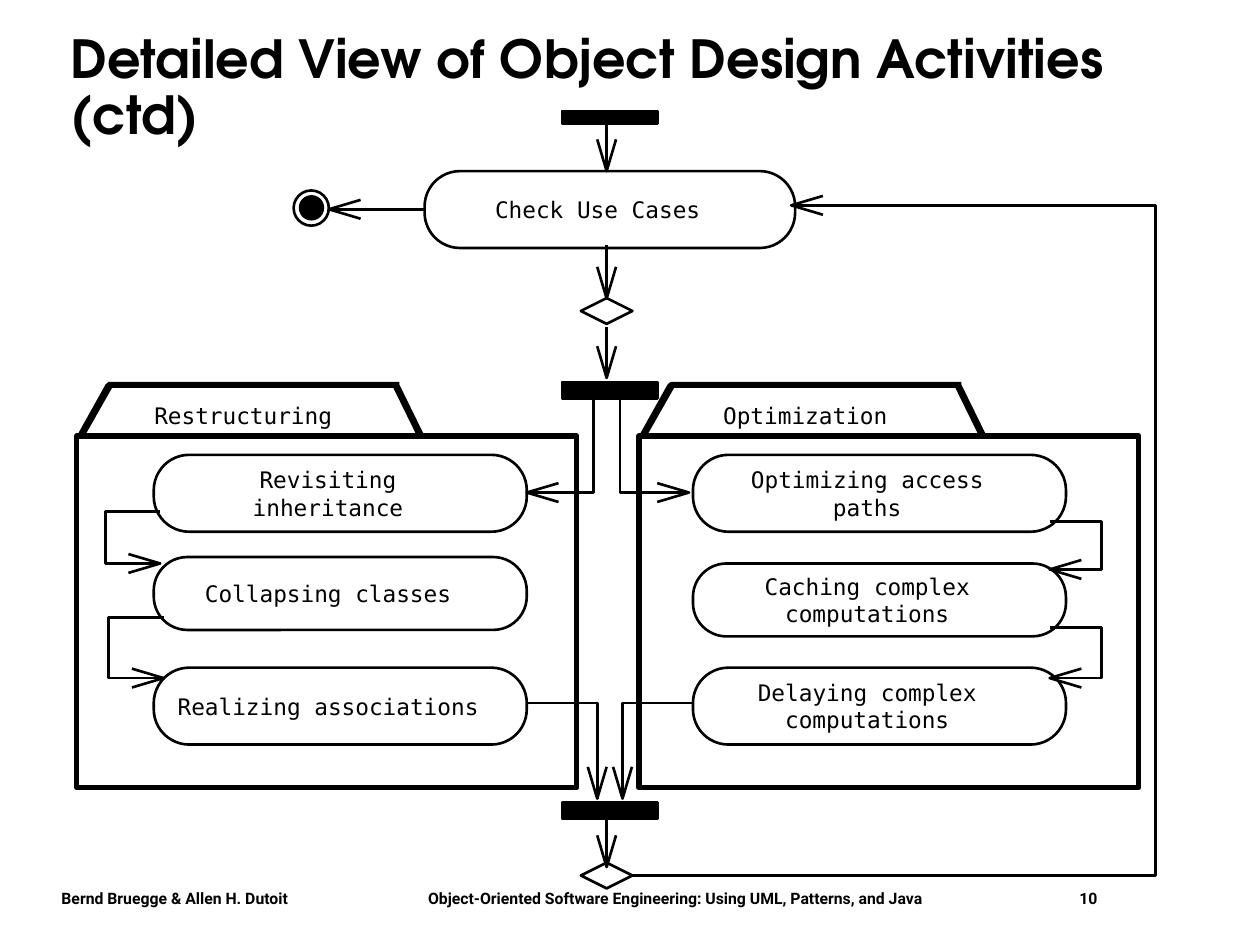
import math

from lxml import etree
from pptx import Presentation
from pptx import util as u
from pptx.dml import color
from pptx.enum import shapes, text
from pptx.oxml import ns

COLORS = {"ink": "000000", "paper": "FFFFFF"}
FONTS = {"title": "TeX Gyre Adventor", "label": "DejaVu Sans Mono", "footer": "Roboto"}
KINDS = shapes.MSO_SHAPE
HEAD_LENGTH, HEAD_HALF = 0.64, 0.19


def rgb(name):
    return color.RGBColor.from_string(COLORS[name])


def paint(shape, fill=None, weight=1.5):
    shape.shadow.inherit = False
    if fill:
        shape.fill.solid()
        shape.fill.fore_color.rgb = rgb(fill)
    else:
        shape.fill.background()
    if weight:
        shape.line.color.rgb = rgb("ink")
        shape.line.width = u.Pt(weight)
    else:
        shape.line.fill.background()
    return shape


def add_preset(page, kind, box, fill=None, weight=1.5):
    return paint(page.shapes.add_shape(kind, *map(u.Cm, box)), fill, weight)


def add_outline(page, points, fill=None, weight=1.5, close=False):
    places = [(u.Cm(x), u.Cm(y)) for x, y in points]
    builder = page.shapes.build_freeform(*places[0])
    builder.add_line_segments(places[1:], close=close)
    return paint(builder.convert_to_shape(), fill, weight)


def set_text(shape, words, font, size, bold=False, align=None, margins=(0, 0, 0, 0)):
    frame = shape.text_frame
    frame.text = words
    frame.word_wrap = True
    frame.vertical_anchor = text.MSO_ANCHOR.MIDDLE
    frame.margin_left, frame.margin_top, frame.margin_right, frame.margin_bottom = map(u.Cm, margins)
    for para in frame.paragraphs:
        para.alignment = align
        for span in para.runs:
            span.font.name = FONTS[font]
            span.font.size = u.Pt(size)
            span.font.bold = bold
            span.font.color.rgb = rgb("ink")
    return frame


def shift(box, points):
    return [(box[0] + x, box[1] + y) for x, y in points]


def add_flow(page, box, points):
    points = shift(box, points)
    if len(points) == 2:
        ends = [u.Cm(value) for point in points for value in point]
        line = page.shapes.add_connector(shapes.MSO_CONNECTOR.STRAIGHT, *ends)
        line.line.color.rgb = rgb("ink")
        line.line.width = u.Pt(1.5)
        etree.SubElement(line._element.spPr, ns.qn("a:effectLst"))
    else:
        add_outline(page, points)
    (before_x, before_y), (tip_x, tip_y) = points[-2:]
    length = math.hypot(tip_x - before_x, tip_y - before_y)
    along_x, along_y = (tip_x - before_x) / length, (tip_y - before_y) / length
    base_x, base_y = tip_x - HEAD_LENGTH * along_x, tip_y - HEAD_LENGTH * along_y
    side_x, side_y = -HEAD_HALF * along_y, HEAD_HALF * along_x
    add_outline(page, [(base_x + side_x, base_y + side_y), (tip_x, tip_y),
                       (base_x - side_x, base_y - side_y)])


def add_activity(page, box, words):
    activity = add_preset(page, KINDS.ROUNDED_RECTANGLE, box)
    activity.adjustments[0] = 0.46
    set_text(activity, words, "label", 13, align=text.PP_ALIGN.CENTER, margins=(0, 0, 0.5, 0))


def add_title(page, box):
    title = page.shapes.add_textbox(*map(u.Cm, box))
    frame = set_text(title, "Detailed View of Object Design Activities (ctd)", "title", 30,
                     bold=True, margins=(0.25, 0.13, 0.25, 0.13))
    frame.paragraphs[0].line_spacing = 0.9


def add_footer(page, box):
    footer = page.shapes.add_textbox(*map(u.Cm, box))
    words = ("Bernd Bruegge & Allen H. Dutoit\t"
             "Object-Oriented Software Engineering: Using UML, Patterns, and Java\t10")
    frame = set_text(footer, words, "footer", 9, bold=True, margins=(0.25, 0.13, 0.25, 0.13))
    stops = etree.SubElement(frame.paragraphs[0]._p.get_or_add_pPr(), ns.qn("a:tabLst"))
    for place in (7.39, 20.52):
        etree.SubElement(stops, ns.qn("a:tab"), pos=str(u.Cm(place)), algn="l")


def add_package(page, box, name, indent, activities, loops):
    left, top, width, height = box
    add_preset(page, KINDS.RECTANGLE, box, weight=3)
    tab_edges = [
        [(0, 0), (0.13, 0.05), (0.71, -0.97), (0.64, -1.09), (0.58, -1.04)],
        [(0.64, -1.09), (0.64, -0.97), (6.43, -0.97), (6.5, -1.04), (6.5, -1.09)],
        [(6.5, -1.04), (6.38, -0.97), (6.88, 0.05), (7.09, 0.05), (7.01, 0)],
    ]
    for edge in tab_edges:
        add_outline(page, shift(box, edge), "ink", weight=0, close=True)
    label = page.shapes.add_textbox(*map(u.Cm, (left + 0.85, top - 0.69, 5, 0.56)))
    set_text(label, name, "label", 13, align=text.PP_ALIGN.CENTER)
    for offset, tall, words in activities:
        add_activity(page, (left + indent, top + offset, 7.52, tall), words)
    for edge, turn, start, end in loops:
        add_flow(page, box, [(edge, start), (turn, start), (turn, end), (edge, end)])


def add_control_flow(page, box):
    left, top, width, height = box
    spine = 6.31
    for offset, tall in ((0, 0.25), (5.46, 0.33), (13.94, 0.33)):
        add_preset(page, KINDS.RECTANGLE, (left + 5.41, top + offset, 1.93, tall), "ink")
    for middle in (4.03, 15.41):
        add_preset(page, KINDS.DIAMOND,
                   (left + spine - 0.52, top + middle - 0.26, 1.04, 0.52), "paper")
    add_preset(page, KINDS.OVAL, (left, top + 1.6, 0.71, 0.71))
    add_preset(page, KINDS.OVAL, (left + 0.13, top + 1.72, 0.46, 0.46), "ink")
    add_activity(page, (left + 2.64, top + 1.21, 7.47, 1.55), "Check Use Cases")
    for start, end in ((0.17, 1.21), (2.69, 3.78), (4.36, 5.38), (14.19, 15.24)):
        add_flow(page, box, [(spine, start), (spine, end)])
    for fork, join, outer_fork, outer_join in ((6.04, 6.12, 4.7, 4.7), (6.58, 6.63, 7.97, 8.05)):
        add_flow(page, box, [(fork, 5.76), (fork, 7.69), (outer_fork, 7.69)])
        add_flow(page, box, [(outer_join, 11.93), (join, 11.93), (join, 13.86)])
    add_flow(page, box, [(2.64, 1.98), (0.71, 1.98)])
    add_flow(page, box, [(spine + 0.52, 15.41), (width, 15.41), (width, 1.9), (10.03, 1.9)])


def main():
    deck = Presentation()
    deck.slide_width, deck.slide_height = u.Cm(25.4), u.Cm(19.05)
    page = deck.slides.add_slide(deck.slide_layouts[6])
    add_footer(page, (0.99, 17.78, 23.29, 0.64))
    add_title(page, (1.17, 0.61, 22.66, 2.39))
    add_package(page, (1.55, 8.79, 10.08, 7.09), "Restructuring", 1.55,
                [(0.38, 1.55, "Revisiting\ninheritance"),
                 (2.44, 1.47, "Collapsing classes"),
                 (4.67, 1.55, "Realizing associations")],
                [(1.68, 0.58, 1.52, 2.57), (1.75, 0.64, 3.66, 4.88)])
    add_package(page, (12.88, 8.79, 10.08, 7.09), "Optimization", 1.09,
                [(0.38, 1.55, "Optimizing access\npaths"),
                 (2.57, 1.47, "Caching complex\ncomputations"),
                 (4.67, 1.55, "Delaying complex\ncomputations")],
                [(8.28, 9.32, 1.73, 2.69), (8.28, 9.32, 3.86, 4.88)])
    add_control_flow(page, (5.92, 2.24, 17.37, 15.67))
    deck.save("out.pptx")


if __name__ == "__main__":
    main()
